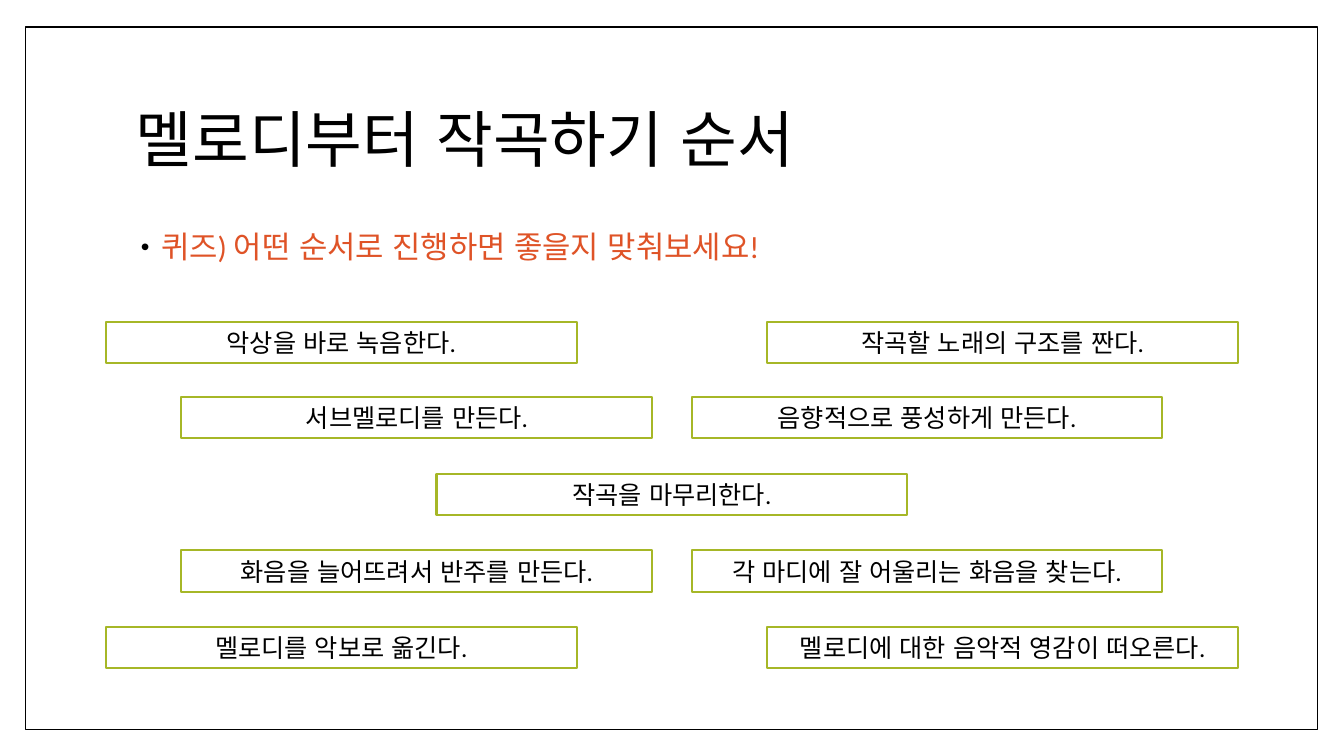
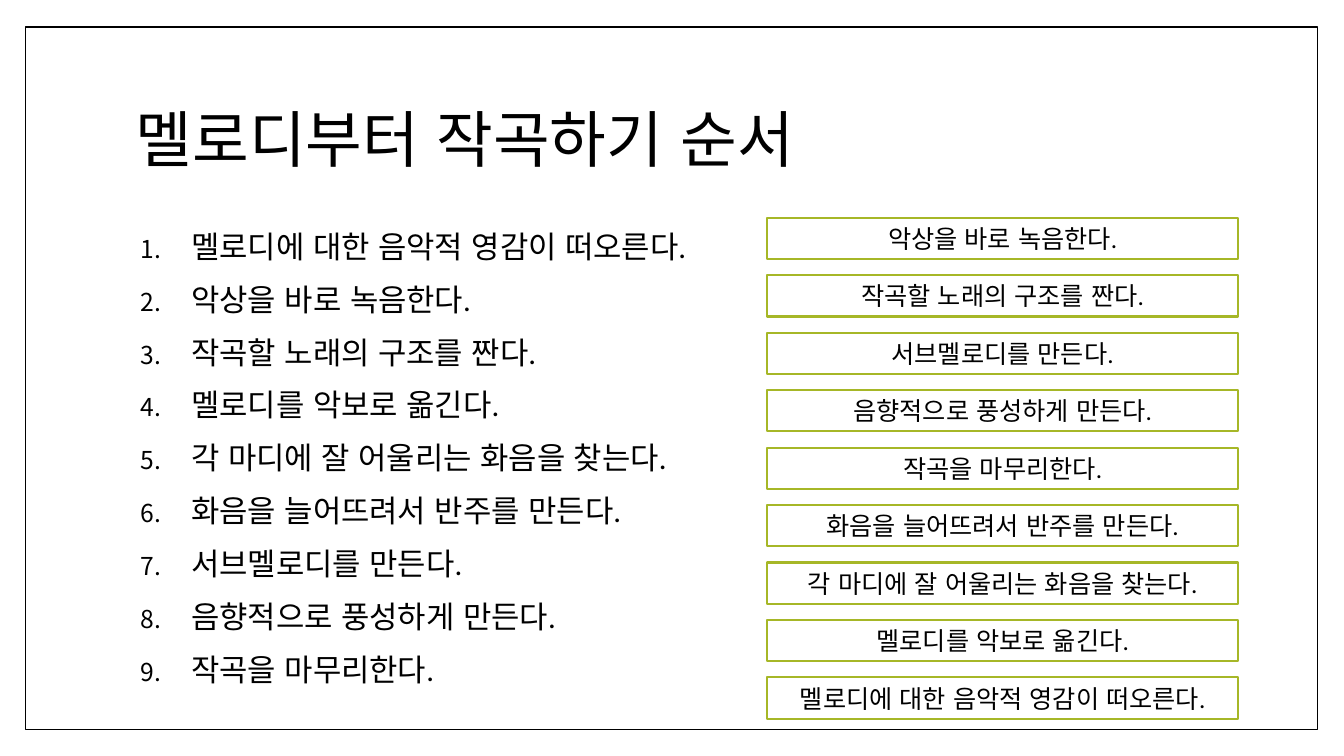
import dataclasses

import lxml.etree
import pptx
import pptx.dml.color
import pptx.enum.lang
import pptx.enum.shapes
import pptx.enum.text
import pptx.oxml.ns
import pptx.util

EMU_PER_PX = 9144  # 100 px to the inch


@dataclasses.dataclass(frozen=True)
class Theme:
    paper: str = "FFFFFF"
    ink: str = "000000"
    accent: str = "DF5327"
    card_line: str = "A6B727"
    font: str = "Calibri"
    title_size: int = 44
    body_size: int = 22
    card_size: int = 18
    frame_width: float = 1
    card_width: float = 1.5
    line_spacing: float = 0.9
    space_before: int = 14
    bullet_percent: int = 80


THEME = Theme()

# Boxes are left, top, width, height in px
PAGE_WIDTH, PAGE_HEIGHT = 1333, 750
FRAME_BOX = (25, 27, 1282, 697)
TITLE_BOX = (125, 67, 1080, 148)
BODY_BOX = (125, 225, 1080, 479)
SCATTER_BOX = (105, 319, 1123, 344)
COLUMN_BOX = (761, 216, 467, 497)
CARD_WIDTH, CARD_HEIGHT = 467, 41

TITLE = "멜로디부터 작곡하기 순서"
QUESTION = "퀴즈) 어떤 순서로 진행하면 좋을지 맞춰보세요!"
STEPS = [
    "멜로디에 대한 음악적 영감이 떠오른다.",
    "악상을 바로 녹음한다.",
    "작곡할 노래의 구조를 짠다.",
    "멜로디를 악보로 옮긴다.",
    "각 마디에 잘 어울리는 화음을 찾는다.",
    "화음을 늘어뜨려서 반주를 만든다.",
    "서브멜로디를 만든다.",
    "음향적으로 풍성하게 만든다.",
    "작곡을 마무리한다.",
]
SHUFFLED = [STEPS[index] for index in (1, 2, 6, 7, 8, 5, 4, 3, 0)]


def px(length):
    return pptx.util.Emu(length * EMU_PER_PX)


def color(value):
    return pptx.dml.color.RGBColor.from_string(value)


def add_span(para, text, size, ink=THEME.ink):
    span = para.add_run()
    span.text = text
    span.font.name = THEME.font
    span.font.size = pptx.util.Pt(size)
    span.font.color.rgb = color(ink)
    span.font.language_id = pptx.enum.lang.MSO_LANGUAGE_ID.KOREAN


def add_rectangle(page, box, line, width):
    shape = page.shapes.add_shape(
        pptx.enum.shapes.MSO_SHAPE.RECTANGLE, *map(px, box))
    shape.shadow.inherit = False
    shape.fill.solid()
    shape.fill.fore_color.rgb = color(THEME.paper)
    shape.line.color.rgb = color(line)
    shape.line.width = pptx.util.Pt(width)
    return shape


def add_text_frame(page, box):
    frame = page.shapes.add_textbox(*map(px, box)).text_frame
    frame.word_wrap = True
    return frame


def set_bullet(para, kind, font, hanging, margin, **attributes):
    """Give the paragraph a bullet or number and its hanging indent."""
    properties = para._p.get_or_add_pPr()
    properties.set("marL", str(px(margin)))
    properties.set("indent", str(-px(hanging)))

    def add(parent, tag, **values):
        return lxml.etree.SubElement(parent, pptx.oxml.ns.qn(tag), **values)

    add(add(properties, "a:buClr"), "a:srgbClr", val=THEME.ink)
    add(properties, "a:buSzPct", val=str(THEME.bullet_percent * 1000))
    add(properties, "a:buFont", typeface=font)
    add(properties, kind, **attributes)


def add_base(deck):
    """Page with the frame and title that every slide shares."""
    page = deck.slides.add_slide(deck.slide_layouts[6])
    add_rectangle(page, FRAME_BOX, THEME.ink, THEME.frame_width)
    frame = add_text_frame(page, TITLE_BOX)
    frame.vertical_anchor = pptx.enum.text.MSO_ANCHOR.MIDDLE
    para = frame.paragraphs[0]
    para.line_spacing = THEME.line_spacing
    add_span(para, TITLE, THEME.title_size)
    return page


def add_question(page, box):
    para = add_text_frame(page, box).paragraphs[0]
    set_bullet(para, "a:buChar", "Arial", 20, 25, char="•")
    para.line_spacing = THEME.line_spacing
    add_span(para, QUESTION, THEME.body_size, THEME.accent)


def add_answers(page, box):
    frame = add_text_frame(page, box)
    for index, step in enumerate(STEPS):
        para = frame.add_paragraph() if index else frame.paragraphs[0]
        set_bullet(para, "a:buAutoNum", THEME.font, 50, 55, type="arabicPeriod")
        para.line_spacing = THEME.line_spacing
        if index:
            para.space_before = pptx.util.Pt(THEME.space_before)
        add_span(para, step, THEME.body_size)


def add_card(page, left, top, text):
    card = add_rectangle(page, (left, top, CARD_WIDTH, CARD_HEIGHT),
                         THEME.card_line, THEME.card_width)
    frame = card.text_frame
    frame.word_wrap = True
    frame.auto_size = pptx.enum.text.MSO_AUTO_SIZE.SHAPE_TO_FIT_TEXT
    para = frame.paragraphs[0]
    para.alignment = pptx.enum.text.PP_ALIGN.CENTER
    add_span(para, text, THEME.card_size)


def row_tops(top, height, count):
    """Tops of evenly spread cards that fill the height."""
    pitch = (height - CARD_HEIGHT) / (count - 1)
    return [top + int(row * pitch) for row in range(count)]


def add_scattered_cards(page, box):
    """Mirrored pairs that step inwards around one centred card."""
    left, top, width, height = box
    center = (width - CARD_WIDTH) // 2
    insets = (0, 75, center, 75, 0)
    steps = iter(SHUFFLED)
    for inset, row_top in zip(insets, row_tops(top, height, len(insets))):
        for offset in sorted({inset, width - CARD_WIDTH - inset}):
            add_card(page, left + offset, row_top, next(steps))


def add_card_column(page, box):
    left, top, _, height = box
    for step, row_top in zip(SHUFFLED, row_tops(top, height, len(SHUFFLED))):
        add_card(page, left, row_top, step)


def main():
    deck = pptx.Presentation()
    deck.slide_width, deck.slide_height = px(PAGE_WIDTH), px(PAGE_HEIGHT)

    # Quiz
    page = add_base(deck)
    add_question(page, BODY_BOX)
    add_scattered_cards(page, SCATTER_BOX)

    # Answers
    page = add_base(deck)
    add_answers(page, BODY_BOX)
    add_card_column(page, COLUMN_BOX)

    deck.save("out.pptx")


if __name__ == "__main__":
    main()
